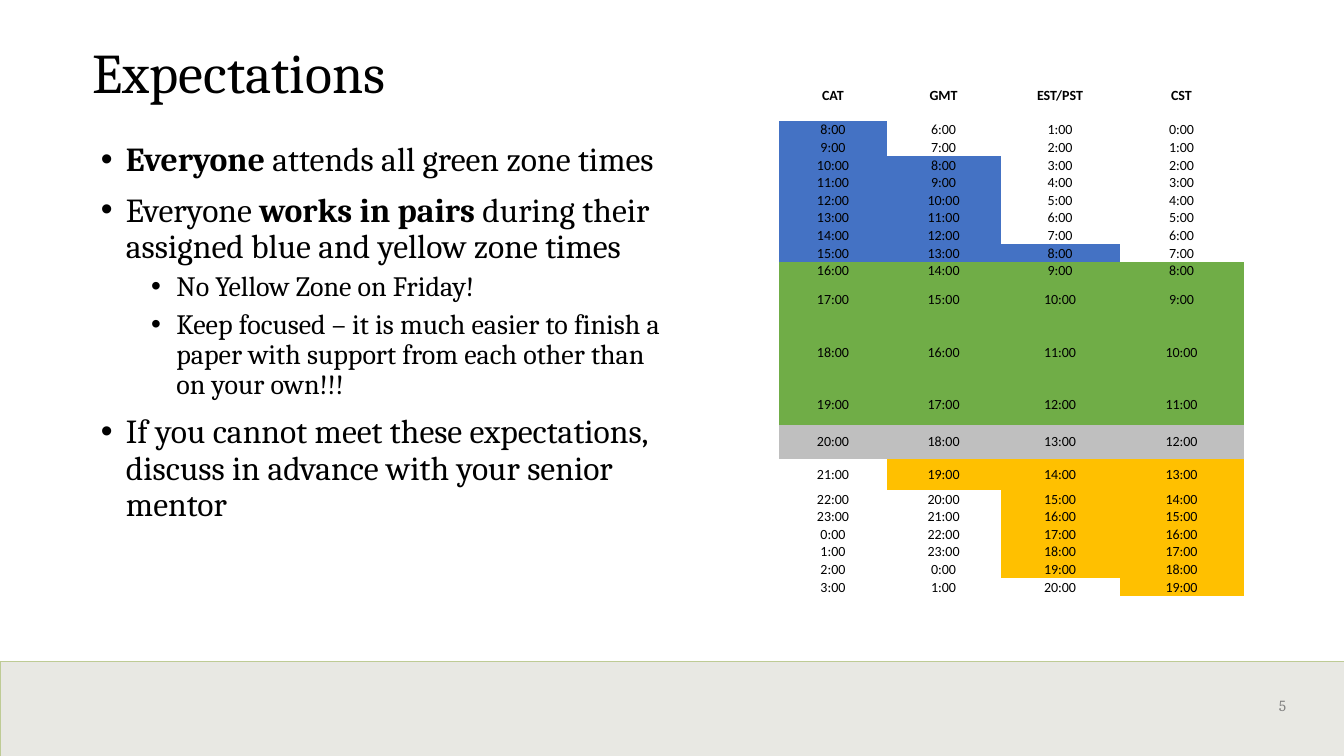
from lxml.etree import SubElement
from pptx import Presentation
from pptx.dml.color import RGBColor
from pptx.enum.shapes import MSO_SHAPE
from pptx.enum.text import MSO_ANCHOR, PP_ALIGN
from pptx.oxml.ns import qn
from pptx.util import Pt

SERIF, SANS = "Cambria", "Calibri"
BLACK, WHITE = "000000", "FFFFFF"
BLUE, GREEN, GREY, YELLOW = "4472C4", "70AD47", "BFBFBF", "FFC000"
PLAIN_TABLE = "{2D5ABB26-0587-4C30-8999-92F81FD0307C}"

FIRST_HOURS = {"CAT": 8, "GMT": 6, "EST/PST": 1, "CST": 0}
COLUMN_WIDTHS = [76.7, 81.4, 85, 88.6]
HEADER_HEIGHT = 36.7
HOUR_HEIGHTS = [12.6] * 9 + [28.8, 46.1, 28.8, 24.5, 22.3] + [12.6] * 6

EXPECTATIONS = [
    (0, [("Everyone", True), (" attends all green zone times", False)]),
    (0, [("Everyone ", False), ("works in pairs ", True),
         ("during their assigned blue and yellow zone times", False)]),
    (1, [("No Yellow Zone on Friday!", False)]),
    (1, [("Keep focused – it is much easier to finish a paper with support "
          "from each other than on your own!!!", False)]),
    (0, [("If you cannot meet these expectations, discuss in advance with "
          "your senior mentor", False)]),
]


def color(value):
    return RGBColor.from_string(value)


def set_font(para, name, size, value=BLACK, bold=False):
    para.font.name = name
    para.font.size = Pt(size)
    para.font.color.rgb = color(value)
    para.font.bold = bold


def add_text_box(page, left, top, width, height, left_inset=0):
    box = page.shapes.add_textbox(Pt(left), Pt(top), Pt(width), Pt(height))
    frame = box.text_frame
    frame.word_wrap = True
    frame.margin_left = Pt(left_inset)
    return frame


def add_line(page, text, size, value, *place, left_inset=0):
    para = add_text_box(page, *place, left_inset=left_inset).paragraphs[0]
    para.text = text
    set_font(para, SERIF, size, value)
    return para


def add_footer_band(page):
    band = page.shapes.add_shape(
        MSO_SHAPE.RECTANGLE, Pt(0), Pt(472.3), Pt(960), Pt(67.7))
    band.shadow.inherit = False
    band.fill.solid()
    band.fill.fore_color.rgb = color("D3D3C9")
    fill_color = band._element.spPr.find(qn("a:solidFill"))[0]
    SubElement(fill_color, qn("a:alpha")).set("val", "50000")
    band.line.color.rgb = color("BECB95")
    band.line.width = Pt(0.5)


def set_bullet(para, level):
    para.level = level
    properties = para._p.get_or_add_pPr()
    properties.set("marL", str(Pt(18 + 36 * level)))
    properties.set("indent", str(Pt(-18)))
    SubElement(properties, qn("a:buFont")).set("typeface", "Arial")
    SubElement(properties, qn("a:buChar")).set("char", "•")


def add_bullets(page, items, *place):
    frame = add_text_box(page, *place)
    for index, (level, spans) in enumerate(items):
        para = frame.add_paragraph() if index else frame.paragraphs[0]
        para.line_spacing = 0.9
        para.space_before = Pt(5 if level else 10)
        set_bullet(para, level)
        set_font(para, SERIF, 20 if level else 24)
        for text, bold in spans:
            span = para.add_run()
            span.text = text
            span.font.bold = bold


def zone_color(row, hour):
    if 8 <= row < 12:
        return GREEN
    if row == 12:
        return GREY
    if 8 <= hour <= 19:
        return BLUE if row < 8 else YELLOW
    return WHITE


def fill_cell(cell, text, fill, bold=False):
    cell.fill.solid()
    cell.fill.fore_color.rgb = color(fill)
    cell.vertical_anchor = MSO_ANCHOR.MIDDLE
    cell.margin_left = cell.margin_right = cell.margin_top = Pt(0.5)
    cell.margin_bottom = Pt(0)
    para = cell.text_frame.paragraphs[0]
    para.text = text
    para.alignment = PP_ALIGN.CENTER
    set_font(para, SANS, 10, bold=bold)


def add_time_table(page, left, top):
    heights = [HEADER_HEIGHT] + HOUR_HEIGHTS
    table = page.shapes.add_table(
        len(heights), len(COLUMN_WIDTHS), Pt(left), Pt(top),
        Pt(sum(COLUMN_WIDTHS)), Pt(sum(heights))).table
    table.first_row = table.horz_banding = False
    table._tbl.tblPr.find(qn("a:tableStyleId")).text = PLAIN_TABLE
    for row, height in zip(table.rows, heights):
        row.height = Pt(height)
    for index, (zone, first_hour) in enumerate(FIRST_HOURS.items()):
        table.columns[index].width = Pt(COLUMN_WIDTHS[index])
        fill_cell(table.cell(0, index), zone, WHITE, bold=True)
        for row in range(len(HOUR_HEIGHTS)):
            hour = (first_hour + row) % 24
            fill_cell(table.cell(row + 1, index), f"{hour}:00",
                      zone_color(row, hour))


def main():
    deck = Presentation()
    deck.slide_width, deck.slide_height = Pt(960), Pt(540)
    page = deck.slides.add_slide(deck.slide_layouts[6])
    add_footer_band(page)
    number = add_line(page, "5", 11, "7F7F7F", 892, 494, 50.4, 26.6,
                      left_inset=7.2)
    number._p.get_or_add_pPr().set("marL", str(Pt(14.4)))
    title = add_line(page, "Expectations", 40, BLACK, 66.2, 28.8, 828, 54.7)
    title.line_spacing = 0.9
    add_time_table(page, 556.6, 49.7)
    add_bullets(page, EXPECTATIONS, 72, 98.6, 408.2, 342.7)
    deck.save("out.pptx")


main()
